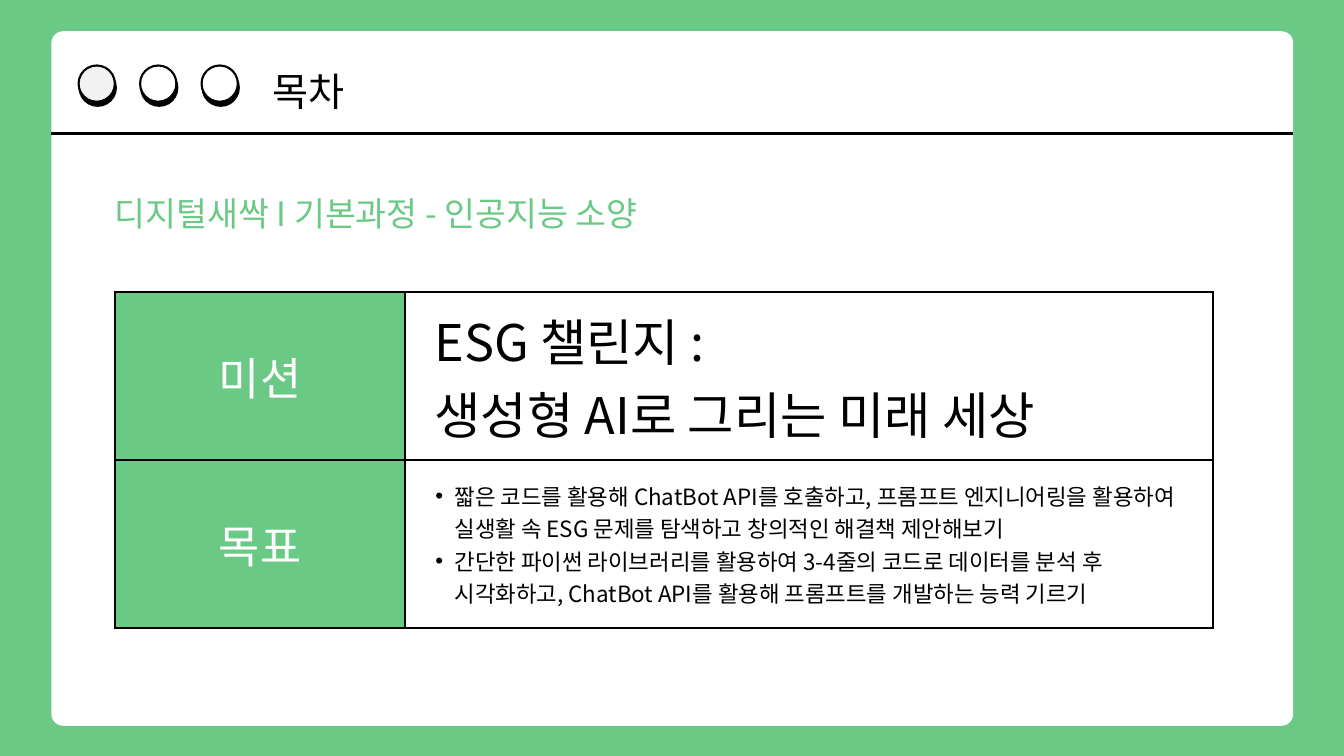
"""Build the mission and goal slide on a grid of 160 columns by 90 rows."""
from lxml import etree
from pptx import Presentation, util as u
from pptx.dml.color import RGBColor
from pptx.enum import shapes, text
from pptx.oxml.ns import qn

CELL = u.Pt(6)
COLUMNS, ROWS = 160, 90
FONT = "Noto Sans CJK KR"
GREEN, WHITE, BLACK, PALE = "6AC985", "FFFFFF", "000000", "F2F2F2"
MISSION = "ESG 챌린지 :\n생성형 AI로 그리는 미래 세상"
GOALS = [
    "짧은 코드를 활용해 ChatBot API를 호출하고, 프롬프트 엔지니어링을 "
    "활용하여 실생활 속 ESG 문제를 탐색하고 창의적인 해결책 제안해보기",
    "간단한 파이썬 라이브러리를 활용하여 3-4줄의 코드로 데이터를 분석 후 "
    "시각화하고, ChatBot API를 활용해 프롬프트를 개발하는 능력 기르기",
]


def grid(*cells):
    """Turn grid counts into slide lengths."""
    return [u.Emu(round(count * CELL)) for count in cells]


def rgb(code):
    """Turn a hex string into a colour."""
    return RGBColor.from_string(code)


def add_child(parent, tag, **attributes):
    """Append a drawing element with its attributes."""
    return etree.SubElement(parent, qn(tag), attributes)


def write(frame, lines, size, color, align=text.PP_ALIGN.LEFT, margin=0, bullet=False):
    """Write one paragraph per line into a text frame."""
    frame.word_wrap = True
    for index, line in enumerate(lines):
        paragraph = frame.add_paragraph() if index else frame.paragraphs[0]
        paragraph.text = line
        paragraph.alignment = align
        properties = paragraph._p.get_or_add_pPr()
        properties.set("marL", str(u.Inches(margin)))
        properties.set("indent", str(u.Inches(-0.19 if bullet else 0)))
        if bullet:
            bullet_color = add_child(properties, "a:buClr")
            add_child(bullet_color, "a:srgbClr", val=color)
            add_child(properties, "a:buFont", typeface="Arial")
            add_child(properties, "a:buChar", char="•")
        paragraph.font.size = u.Pt(size)
        paragraph.font.color.rgb = rgb(color)
        paragraph.font.name = FONT
        add_child(properties.find(qn("a:defRPr")), "a:ea", typeface=FONT)


def add_label(slide, box, label, size, color):
    """Place a single line of text."""
    frame = slide.shapes.add_textbox(*grid(*box)).text_frame
    write(frame, [label], size, color)
    return frame


def add_panel(slide, kind, box, fill, outline=None):
    """Draw a flat filled shape."""
    panel = slide.shapes.add_shape(kind, *grid(*box))
    panel.shadow.inherit = False
    panel.fill.solid()
    panel.fill.fore_color.rgb = rgb(fill)
    if outline:
        panel.line.color.rgb = rgb(outline)
        panel.line.width = u.Pt(1.5)
    else:
        panel.line.fill.background()
    return panel


def add_button(slide, left, fill):
    """Draw a round window button over its black edge."""
    top, size = 7.8, 4.32
    for shift_x, shift_y, color in ((0.12, 0.48, BLACK), (0, 0, fill)):
        box = (left + shift_x, top + shift_y, size, size)
        add_panel(slide, shapes.MSO_SHAPE.OVAL, box, color, BLACK)


def add_window(slide):
    """Draw the window with its title bar."""
    left, top, width, height = 6.12, 3.72, 147.84, 82.68
    window = add_panel(slide, shapes.MSO_SHAPE.ROUNDED_RECTANGLE,
                       (left, top, width, height), WHITE)
    window.adjustments[0] = 0.017
    bar = slide.shapes.add_connector(shapes.MSO_CONNECTOR.STRAIGHT,
                                     *grid(left, 15.9, left + width, 15.9))
    bar.line.color.rgb = rgb(BLACK)
    bar.line.width = u.Pt(2.25)
    add_child(bar._element.spPr, "a:effectLst")
    for index, fill in enumerate((PALE, WHITE, WHITE)):
        add_button(slide, 9.36 + 7.32 * index, fill)


def style_cell(cell, fill=None):
    """Centre a cell vertically, then border and fill it."""
    cell.vertical_anchor = text.MSO_ANCHOR.MIDDLE
    properties = cell._tc.get_or_add_tcPr()
    for side in ("a:lnL", "a:lnR", "a:lnT", "a:lnB"):
        border = add_child(properties, side, w=str(u.Pt(1.5)))
        add_child(add_child(border, "a:solidFill"), "a:srgbClr", val=BLACK)
    if fill:
        cell.fill.solid()
        cell.fill.fore_color.rgb = rgb(fill)
    else:
        cell.fill.background()


def add_overview(slide):
    """Build the table of mission and goals."""
    rows = [("미션", [MISSION], 36, 0.19, False), ("목표", GOALS, 16, 0.39, True)]
    widths = grid(34.56, 96.12)
    box = grid(13.68, 34.8, 130.68, 40)
    overview = slide.shapes.add_table(len(rows), len(widths), *box).table
    overview.first_row = overview.horz_banding = False
    for column, width in zip(overview.columns, widths):
        column.width = width
    for index, (heading, lines, size, margin, bullet) in enumerate(rows):
        head, body = overview.cell(index, 0), overview.cell(index, 1)
        style_cell(head, GREEN)
        style_cell(body)
        write(head.text_frame, [heading], 32, WHITE, text.PP_ALIGN.CENTER)
        write(body.text_frame, lines, size, BLACK, margin=margin, bullet=bullet)


def main():
    """Assemble and save the slide."""
    deck = Presentation()
    deck.slide_width, deck.slide_height = grid(COLUMNS, ROWS)
    slide = deck.slides.add_slide(deck.slide_layouts[6])
    slide.background.fill.solid()
    slide.background.fill.fore_color.rgb = rgb(GREEN)
    add_window(slide)
    add_label(slide, (31.32, 7.44, 33.12, 6.84), "목차", 28, BLACK)
    course = add_label(slide, (12.48, 22.56, 95.16, 6.12),
                       "디지털새싹 I 기본과정 - 인공지능 소양", 24, GREEN)
    course.vertical_anchor = text.MSO_ANCHOR.MIDDLE
    course.paragraphs[0].line_spacing = 0.9
    add_overview(slide)
    deck.save("out.pptx")


if __name__ == "__main__":
    main()
